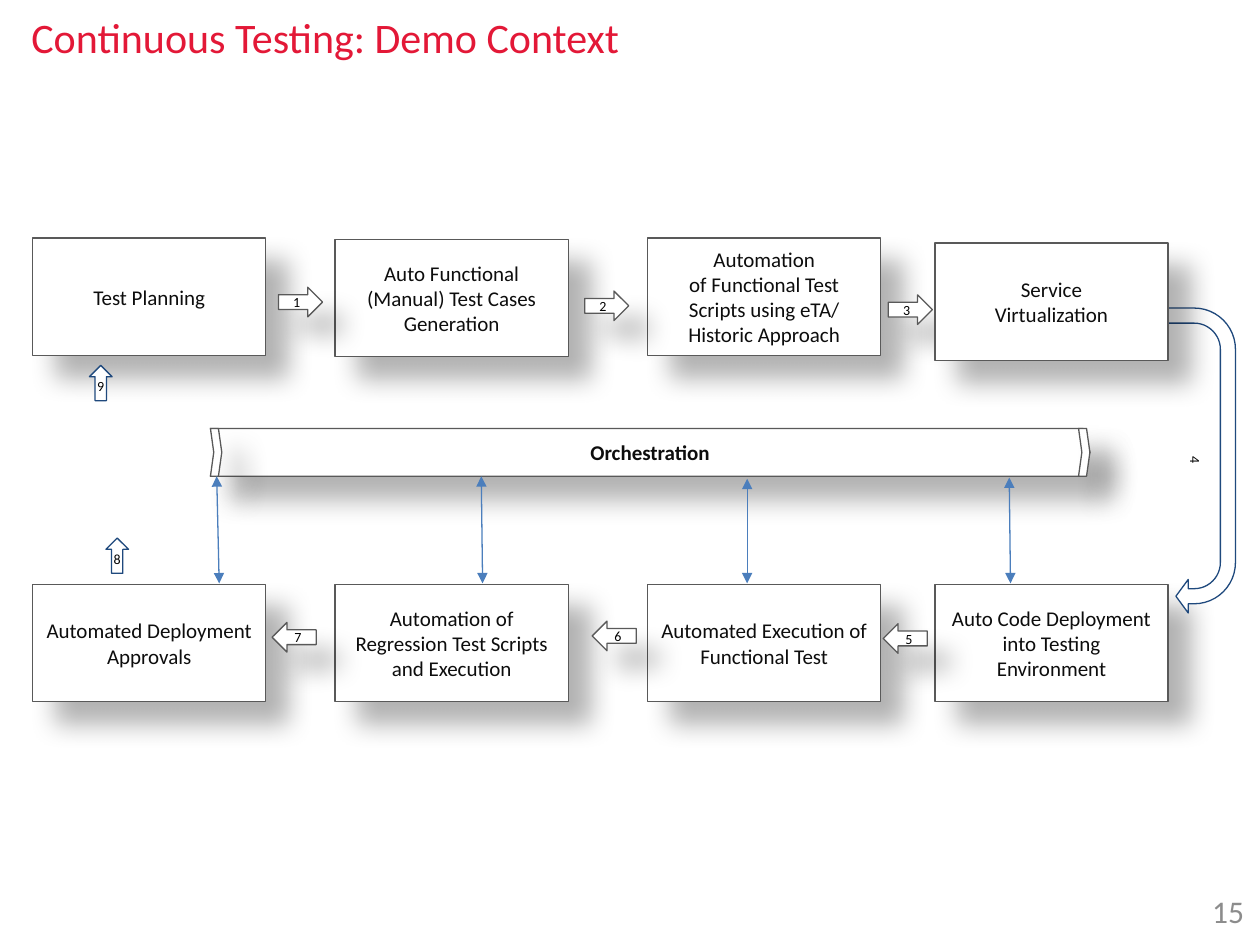
import typing

import pptx
import pptx.dml.color
import pptx.enum.shapes
import pptx.enum.text
import pptx.oxml
import pptx.oxml.ns
import pptx.util
from lxml import etree

RGBColor = pptx.dml.color.RGBColor
SHAPE = pptx.enum.shapes.MSO_SHAPE
ALIGN = pptx.enum.text.PP_ALIGN
ANCHOR = pptx.enum.text.MSO_ANCHOR
Pt = pptx.util.Pt

RED = RGBColor(0xE3, 0x18, 0x37)
GREY = RGBColor(0x8C, 0x8C, 0x8C)
DARK_GREY = RGBColor(0x59, 0x59, 0x59)
INK = RGBColor(0x0D, 0x0D, 0x0D)
BLACK = RGBColor(0, 0, 0)
WHITE = RGBColor(0xFF, 0xFF, 0xFF)
NAVY = RGBColor(0x1F, 0x49, 0x7D)
BLUE = RGBColor(0x4B, 0x7E, 0xBC)

SLIDE_WIDTH, SLIDE_HEIGHT = pptx.util.Inches(10), pptx.util.Inches(7.5)
COLUMN, ROW = SLIDE_WIDTH / 100, SLIDE_HEIGHT / 75


class Box(typing.NamedTuple):
    """A place on the grid, in columns and rows."""
    left: float
    top: float
    width: float
    height: float

    def within(self, left, top, width, height):
        return Box(self.left + left, self.top + top, width, height)

    def lengths(self):
        return (round(self.left * COLUMN), round(self.top * ROW),
                round(self.width * COLUMN), round(self.height * ROW))


TITLE = Box(1.5, 0.4, 49.1, 5)
PAGE_NUMBER = Box(95.4, 70.4, 4.6, 4.6)
BAND = Box(16.7, 34, 69.8, 3.8)
TOP_ROW = Box(2.6, 18.9, 90.1, 9.3)
BOTTOM_ROW = Box(2.6, 46.4, 90.1, 9.3)
LEFT_RETURN = Box(7.1, 29, 3.1, 16.5)
RIGHT_TURN = Box(82.8, 33.4, 24.2, 6.3)

STEP_WIDTH = 18.5
STEP_LEFTS = (0, 24, 48.8, 71.6)
TOP_STEPS = (
    (0, ["Test Planning"]),
    (0.1, ["Auto Functional (Manual) Test Cases Generation"]),
    (0, ["Automation", "of Functional Test Scripts using eTA/ Historic Approach"]),
)
SERVICE_STEP = (0.4, ["Service", "Virtualization"])
BOTTOM_STEPS = (
    (0, ["Automated Deployment Approvals"]),
    (0, ["Automation of Regression Test Scripts and Execution"]),
    (0, ["Automated Execution of Functional Test"]),
    (0, ["Auto Code Deployment into Testing Environment"]),
)
TOP_ARROWS = (("1", 19.5, 3.9), ("2", 43.8, 4.2), ("3", 67.9, 4.5))
BOTTOM_ARROWS = (("5", 67.5, 3.1), ("6", 44.4, 2.9), ("7", 19, 3))


def write(shape, lines, align=ALIGN.LEFT, **font):
    frame = shape.text_frame
    for index, line in enumerate(lines):
        para = frame.paragraphs[0] if index == 0 else frame.add_paragraph()
        para.alignment = align
        span = para.add_run()
        span.text = line
        color = font.get("color", BLACK)
        formats = {"name": "Calibri", "size": Pt(font["size"]), "bold": font.get("bold", False)}
        for name, value in formats.items():
            setattr(span.font, name, value)
        span.font.color.rgb = color


def cast_shadow(shape):
    shape.shadow.inherit = False
    effects = shape._element.spPr.find(pptx.oxml.ns.qn("a:effectLst"))
    effects.append(pptx.oxml.parse_xml(
        f'<a:outerShdw {pptx.oxml.ns.nsdecls("a")} blurRad="{Pt(15)}" dist="{Pt(18)}" '
        'dir="2700000" algn="tl" rotWithShape="0">'
        '<a:srgbClr val="000000"><a:alpha val="30000"/></a:srgbClr></a:outerShdw>'))


def add_outline(shapes, kind, box, line=DARK_GREY, shadow=True, adjustments=()):
    """Add a white shape with a thin line."""
    shape = shapes.add_shape(kind, *box.lengths())
    shape.fill.solid()
    shape.fill.fore_color.rgb = WHITE
    shape.line.color.rgb = line
    shape.line.width = Pt(0.75)
    for index, value in enumerate(adjustments):
        shape.adjustments[index] = value
    if shadow:
        cast_shadow(shape)
    else:
        shape.shadow.inherit = False
    shape.text_frame.word_wrap = True
    shape.text_frame.vertical_anchor = ANCHOR.MIDDLE
    return shape


def add_title(page, box):
    title = page.shapes.add_textbox(*box.lengths())
    title.text_frame.word_wrap = False
    write(title, ["Continuous Testing: Demo Context"], size=24, color=RED)


def add_page_number(page, box):
    number = page.shapes.add_textbox(*box.lengths())
    frame = number.text_frame
    frame.word_wrap = True
    insets = {"margin_left": 0.08, "margin_right": 0.08, "margin_top": 0.04, "margin_bottom": 0.04}
    for name, value in insets.items():
        setattr(frame, name, pptx.util.Inches(value))
    write(number, ["15"], size=18, color=GREY)


def add_orchestration(page, box):
    group = page.shapes.add_group_shape()
    band = add_outline(group.shapes, SHAPE.CHEVRON, box, adjustments=[0.141])
    write(band, ["Orchestration"], ALIGN.CENTER, size=12, color=INK, bold=True)
    end_width = 0.9
    for left in (0, box.width - end_width):
        add_outline(group.shapes, SHAPE.CHEVRON, box.within(left, 0, end_width, box.height),
                    adjustments=[0.296])


def add_step(page, row, left, step):
    drop, lines = step
    shape = add_outline(page.shapes, SHAPE.RECTANGLE,
                        row.within(left, drop, STEP_WIDTH, row.height))
    write(shape, lines, ALIGN.CENTER, size=12, color=INK)


def add_steps(page, row, steps):
    for left, step in zip(STEP_LEFTS, steps):
        add_step(page, row, left, step)


def add_step_arrows(page, row, arrows, backwards=False):
    for label, left, top in arrows:
        arrow = add_outline(page.shapes, SHAPE.RIGHT_ARROW, row.within(left, top, 3.5, 2.35))
        if backwards:
            arrow._element.spPr.xfrm.set("flipH", "1")
        write(arrow, [label], ALIGN.CENTER, size=8)


def add_right_turn(page, box):
    turn = add_outline(page.shapes, SHAPE.U_TURN_ARROW, box, NAVY, False,
                       [0.19, 0.211, 0.155, 0.52, 0.75])
    turn.rotation = 90
    write(turn, ["4"], ALIGN.CENTER, size=8)


def add_left_return(page, box):
    width, height = 1.8, 2.8
    for label, left, top in (("8", box.width - width, box.height - height), ("9", 0, 0)):
        arrow = add_outline(page.shapes, SHAPE.UP_ARROW, box.within(left, top, width, height),
                            NAVY, False)
        write(arrow, [label], ALIGN.CENTER, size=8)


def add_band_links(page, band, row):
    """Join the band to the row of steps below it with two-headed arrows."""
    bottom = band.top + band.height
    for start, end, drop in ((63.4, 63.5, 0.1), (42.6, 42.6, 0.2), (21.5, 21.6, 0), (0.5, 0.7, 0)):
        ends = ((band.left + start) * COLUMN, (bottom + drop) * ROW,
                (band.left + end) * COLUMN, (row.top - 0.1) * ROW)
        link = page.shapes.add_connector(pptx.enum.shapes.MSO_CONNECTOR.STRAIGHT,
                                         *map(round, ends))
        link.line.color.rgb = BLUE
        link.line.width = Pt(0.75)
        for tag in ("a:headEnd", "a:tailEnd"):
            etree.SubElement(link.line._get_or_add_ln(), pptx.oxml.ns.qn(tag), type="triangle")
        etree.SubElement(link._element.spPr, pptx.oxml.ns.qn("a:effectLst"))


def main():
    deck = pptx.Presentation()
    deck.slide_width, deck.slide_height = SLIDE_WIDTH, SLIDE_HEIGHT
    page = deck.slides.add_slide(deck.slide_layouts[6])
    add_title(page, TITLE)
    add_page_number(page, PAGE_NUMBER)
    add_orchestration(page, BAND)
    add_steps(page, TOP_ROW, TOP_STEPS)
    add_steps(page, BOTTOM_ROW, BOTTOM_STEPS)
    add_step_arrows(page, TOP_ROW, TOP_ARROWS)
    add_step_arrows(page, BOTTOM_ROW, BOTTOM_ARROWS, backwards=True)
    add_right_turn(page, RIGHT_TURN)
    add_step(page, TOP_ROW, STEP_LEFTS[-1], SERVICE_STEP)
    add_left_return(page, LEFT_RETURN)
    add_band_links(page, BAND, BOTTOM_ROW)
    deck.save("out.pptx")


if __name__ == "__main__":
    main()
